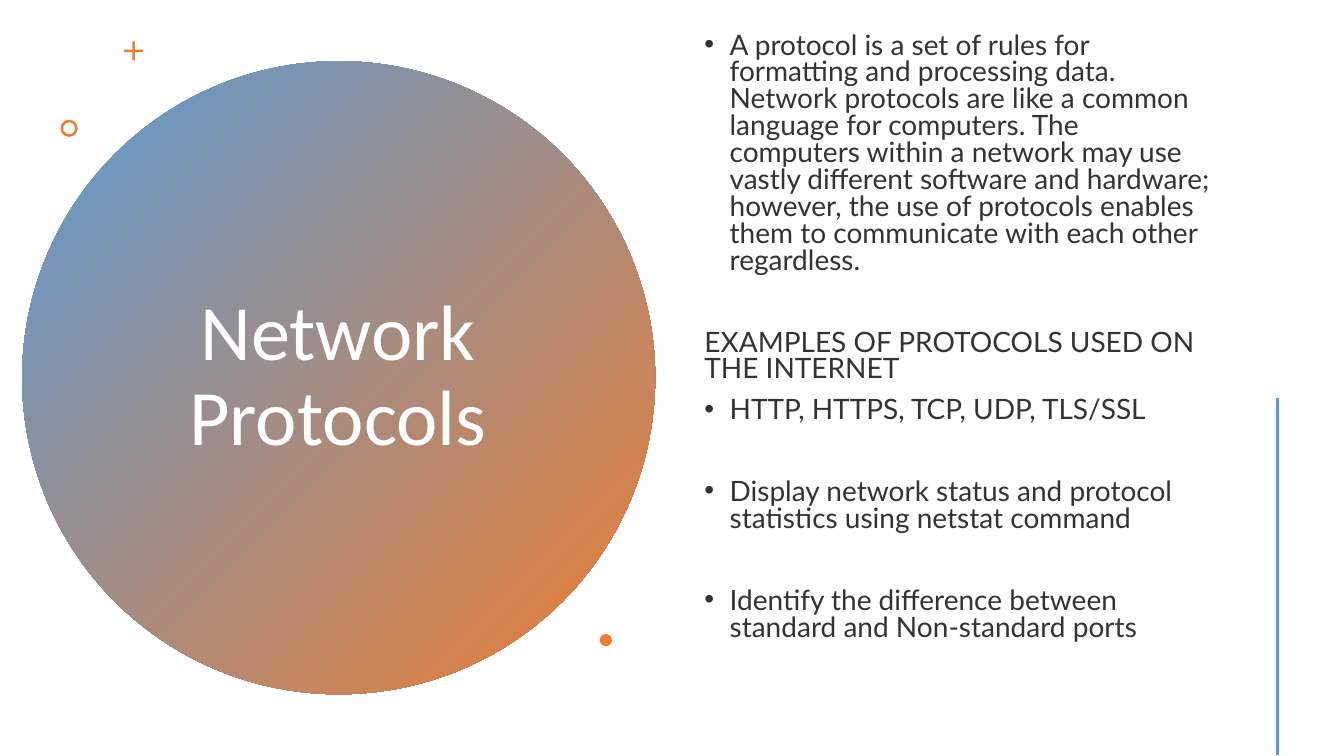
from dataclasses import dataclass

from lxml import etree
from pptx import Presentation
from pptx.dml.color import RGBColor
from pptx.enum.shapes import MSO_CONNECTOR, MSO_SHAPE
from pptx.enum.text import MSO_ANCHOR, MSO_AUTO_SIZE, PP_ALIGN
from pptx.oxml.ns import qn
from pptx.util import Pt

OVAL, CROSS, DONUT = MSO_SHAPE.OVAL, MSO_SHAPE.CROSS, MSO_SHAPE.DONUT
STRAIGHT = MSO_CONNECTOR.STRAIGHT
MIDDLE, CENTER = MSO_ANCHOR.MIDDLE, PP_ALIGN.CENTER
NO_FIT = MSO_AUTO_SIZE.NONE
TITLE_ONLY = 5


@dataclass(frozen=True)
class Theme:
    blue: RGBColor = RGBColor(0x5B, 0x9B, 0xD5)
    orange: RGBColor = RGBColor(0xED, 0x7D, 0x31)
    white: RGBColor = RGBColor(0xFF, 0xFF, 0xFF)
    ink: RGBColor = RGBColor(0x33, 0x33, 0x33)
    title_font: str = "Calibri"
    body_font: str = "Lato"
    title_size: float = 56
    body_size: float = 20


@dataclass(frozen=True)
class Ornament:
    kind: MSO_SHAPE
    left: float
    top: float
    size: float
    adjustment: float | None = None


@dataclass(frozen=True)
class Point:
    text: str
    bulleted: bool = True
    before: float = 10


THEME = Theme()
SECTION_GAP = 39.2
BULLET_INDENT = 18
ORNAMENTS = [
    Ornament(CROSS, 88.6, 29.5, 13.7, 0.43),
    Ornament(DONUT, 43.2, 85.5, 12.3, 0.15),
    Ornament(OVAL, 428.4, 452.9, 8.8),
]
POINTS = [
    Point("A protocol is a set of rules for formatting and processing data. "
          "Network protocols are like a common language for computers. "
          "The computers within a network may use vastly different software and hardware; "
          "however, the use of protocols enables them to communicate with each other regardless."),
    Point("EXAMPLES OF PROTOCOLS USED ON THE INTERNET", False, SECTION_GAP),
    Point("HTTP, HTTPS, TCP, UDP, TLS/SSL"),
    Point("Display network status and protocol statistics using netstat command",
          before=SECTION_GAP),
    Point("Identify the difference between standard and Non-standard ports",
          before=SECTION_GAP),
]


def add_run(p, text: str, font: str, size: float, color: RGBColor) -> None:
    r = p.add_run()
    r.text = text
    r.font.name = font
    r.font.size = Pt(size)
    r.font.color.rgb = color


def add_ornament(s, item: Ornament):
    sp = s.shapes.add_shape(item.kind, Pt(item.left), Pt(item.top),
                            Pt(item.size), Pt(item.size))
    sp.shadow.inherit = False
    sp.line.fill.background()
    sp.fill.solid()
    sp.fill.fore_color.rgb = THEME.orange
    if item.adjustment is not None:
        sp.adjustments[0] = item.adjustment
    return sp


def add_title(s) -> None:
    circle = add_ornament(s, Ornament(OVAL, 15.8, 43.7, 452.2))
    circle.fill.gradient()
    circle.fill.gradient_angle = 315
    for stop, color in zip(circle.fill.gradient_stops, (THEME.blue, THEME.orange)):
        stop.color.rgb = color
    title = s.shapes.title
    title.element.addprevious(circle.element)
    title.left, title.top, title.width, title.height = Pt(97.9), Pt(101.5), Pt(287.3), Pt(336.2)
    tf = title.text_frame
    tf.word_wrap = True
    tf.auto_size = NO_FIT
    tf.vertical_anchor = MIDDLE
    p = tf.paragraphs[0]
    p.alignment = CENTER
    p.line_spacing = 0.9
    add_run(p, "Network Protocols", THEME.title_font, THEME.title_size, THEME.white)


def add_points(s, points: list[Point]) -> None:
    tf = s.shapes.add_textbox(Pt(496.1), Pt(41), Pt(375.8), Pt(459.4)).text_frame
    tf.word_wrap = True
    tf.auto_size = NO_FIT
    tf.vertical_anchor = MIDDLE
    tf.margin_bottom = Pt(62)
    for i, point in enumerate(points):
        p = tf.add_paragraph() if i else tf.paragraphs[0]
        p.line_spacing = 0.8
        p.space_before = Pt(point.before)
        if point.bulleted:
            props = p._p.get_or_add_pPr()
            props.set("marL", str(Pt(BULLET_INDENT)))
            props.set("indent", str(-Pt(BULLET_INDENT)))
            etree.SubElement(props, qn("a:buFont")).set("typeface", "Arial")
            etree.SubElement(props, qn("a:buChar")).set("char", "•")
        add_run(p, point.text, THEME.body_font, THEME.body_size, THEME.ink)


def add_side_line(s) -> None:
    line = s.shapes.add_connector(STRAIGHT, Pt(912.3), Pt(284.4), Pt(912.3), Pt(539.5))
    line.line.color.rgb = THEME.blue
    line.line.width = Pt(2)
    etree.SubElement(line.element.spPr, qn("a:effectLst"))


def main() -> None:
    prs = Presentation()
    prs.slide_width, prs.slide_height = Pt(960), Pt(540)
    s = prs.slides.add_slide(prs.slide_layouts[TITLE_ONLY])
    add_title(s)
    for item in ORNAMENTS:
        add_ornament(s, item)
    add_points(s, POINTS)
    add_side_line(s)
    prs.save("out.pptx")


if __name__ == "__main__":
    main()
